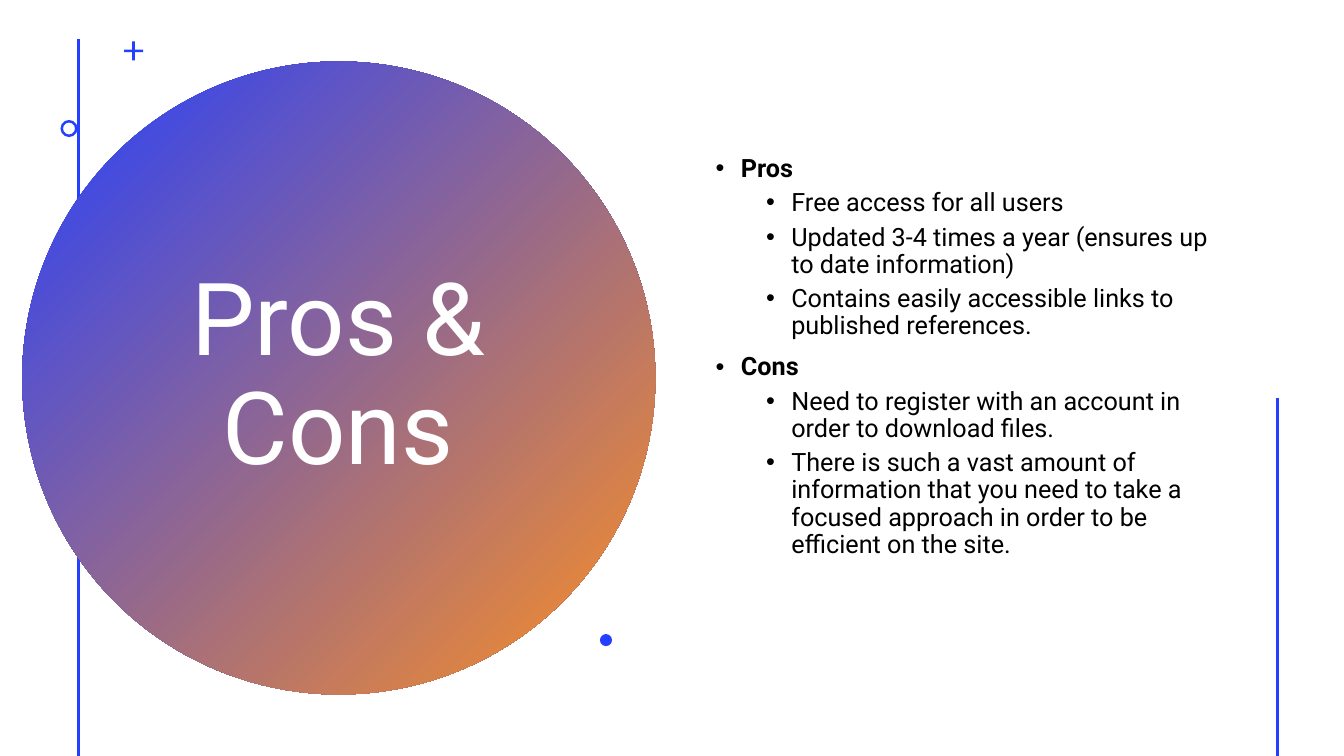
from lxml import etree
from pptx import Presentation
from pptx.dml.color import RGBColor
from pptx.enum.shapes import MSO_CONNECTOR, MSO_SHAPE
from pptx.enum.text import MSO_ANCHOR, MSO_AUTO_SIZE, PP_ALIGN
from pptx.oxml.ns import qn
from pptx.util import Inches, Pt

STRAIGHT = MSO_CONNECTOR.STRAIGHT
OVAL, CROSS, DONUT = MSO_SHAPE.OVAL, MSO_SHAPE.CROSS, MSO_SHAPE.DONUT
MIDDLE, CENTER = MSO_ANCHOR.MIDDLE, PP_ALIGN.CENTER
NO_AUTOFIT = MSO_AUTO_SIZE.NONE

COLORS = {"blue": "243FFF", "orange": "FF9022", "white": "FFFFFF", "black": "000000"}
FONT = "Roboto"
WIDTH, HEIGHT = 13.33, 7.5

POINTS = {
    "Pros": [
        "Free access for all users",
        "Updated 3-4 times a year (ensures up to date information)",
        "Contains easily accessible links to published references.",
    ],
    "Cons": [
        "Need to register with an account in order to download files.",
        "There is such a vast amount of information that you need to take "
        "a focused approach in order to be efficient on the site.",
    ],
}


def color(name):
    return RGBColor.from_string(COLORS[name])


def add_rule(slide, x, top):
    rule = slide.shapes.add_connector(
        STRAIGHT, Inches(x), Inches(top), Inches(x), Inches(HEIGHT))
    rule.line.color.rgb = color("blue")
    rule.line.width = Pt(2)
    etree.SubElement(rule._element.spPr, qn("a:effectLst"))


def add_ornament(slide, preset, left, top, size, adjustment=None):
    ornament = slide.shapes.add_shape(
        preset, Inches(left), Inches(top), Inches(size), Inches(size))
    ornament.shadow.inherit = False
    ornament.line.fill.background()
    ornament.fill.solid()
    ornament.fill.fore_color.rgb = color("blue")
    if adjustment is not None:
        ornament.adjustments[0] = adjustment
    return ornament


def add_gradient_circle(slide, left, top, size):
    circle = add_ornament(slide, OVAL, left, top, size)
    circle.fill.gradient()
    circle.fill.gradient_angle = 315
    for stop, position, name in zip(
            circle.fill.gradient_stops, (0, 1), ("blue", "orange")):
        stop.position = position
        stop.color.rgb = color(name)
    return circle


def style_paragraph(paragraph, size, name, bold=False):
    paragraph.line_spacing = 0.9
    paragraph.font.name = FONT
    paragraph.font.size = Pt(size)
    paragraph.font.bold = bold
    paragraph.font.color.rgb = color(name)


def prepare_frame(frame):
    frame.word_wrap = True
    frame.auto_size = NO_AUTOFIT
    frame.vertical_anchor = MIDDLE


def place_title(slide, circle, text):
    title = slide.shapes.title
    title.left, title.top = Inches(1.36), Inches(1.41)
    title.width, title.height = Inches(3.99), Inches(4.67)
    prepare_frame(title.text_frame)
    title.text_frame.text = text
    heading = title.text_frame.paragraphs[0]
    heading.alignment = CENTER
    style_paragraph(heading, 72, "white")
    circle._element.addnext(title._element)


def add_bullet(paragraph, text, level):
    paragraph.text = text
    paragraph.level = level
    properties = paragraph._p.get_or_add_pPr()
    properties.set("marL", str(Inches(0.25 + 0.5 * level)))
    properties.set("indent", str(Inches(-0.25)))
    etree.SubElement(properties, qn("a:buFont"), typeface="Arial")
    etree.SubElement(properties, qn("a:buChar"), char="•")
    style_paragraph(paragraph, 18, "black", bold=level == 0)


def add_points(slide, left, top, width, height):
    box = slide.shapes.add_textbox(
        Inches(left), Inches(top), Inches(width), Inches(height))
    frame = box.text_frame
    prepare_frame(frame)
    entries = [(text, level) for heading, details in POINTS.items()
               for text, level in [(heading, 0)] + [(item, 1) for item in details]]
    for index, (text, level) in enumerate(entries):
        paragraph = frame.add_paragraph() if index else frame.paragraphs[0]
        add_bullet(paragraph, text, level)
        if index:
            paragraph.space_before = Pt(5 if level else 10)


def main():
    deck = Presentation()
    deck.slide_width, deck.slide_height = Inches(WIDTH), Inches(HEIGHT)
    slide = deck.slides.add_slide(deck.slide_layouts[5])
    add_rule(slide, 0.78, 0.39)
    circle = add_gradient_circle(slide, 0.22, 0.61, 6.28)
    place_title(slide, circle, "Pros & Cons")
    add_ornament(slide, CROSS, 1.23, 0.41, 0.19, 0.43)
    add_ornament(slide, DONUT, 0.6, 1.19, 0.17, 0.15)
    add_points(slide, 7, 0.28, 5.12, 6.53)
    add_ornament(slide, OVAL, 5.95, 6.29, 0.12)
    add_rule(slide, 12.67, 3.95)
    deck.save("out.pptx")


if __name__ == "__main__":
    main()
